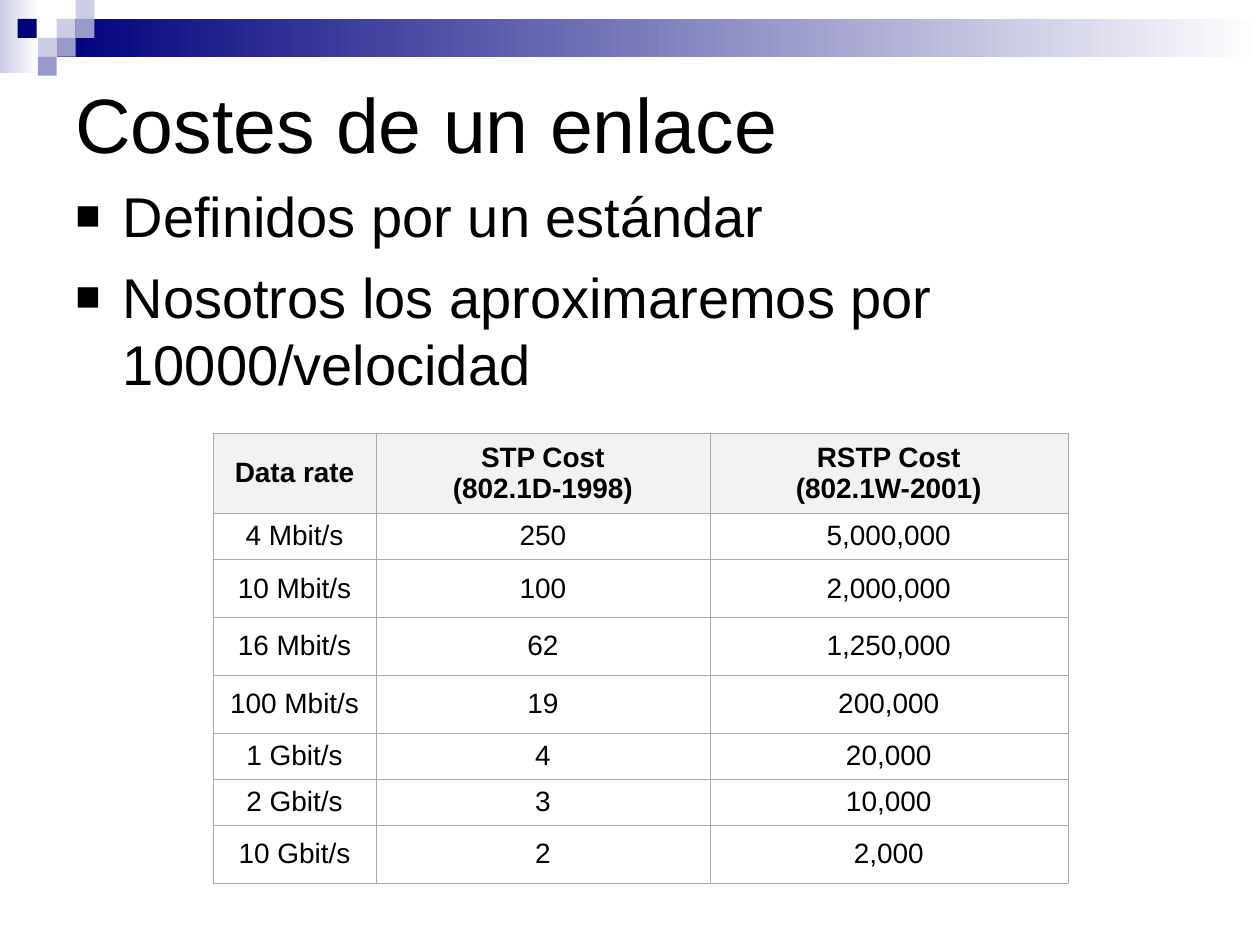
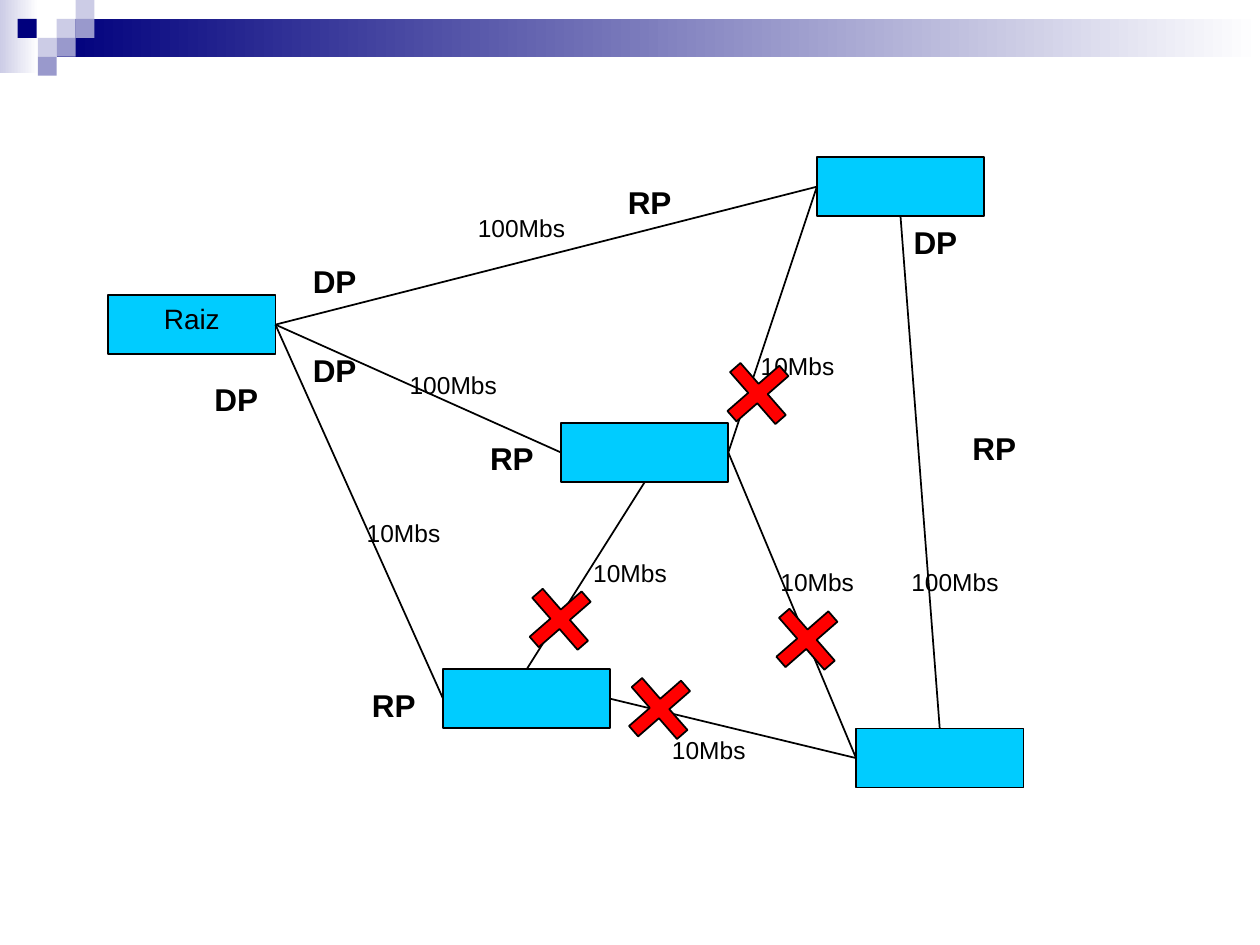
"""Builds two slides on spanning tree: link costs and a network with its port roles."""
from lxml import etree
from pptx import Presentation
from pptx import util as u
from pptx.dml.color import RGBColor
from pptx.enum import shapes, text
from pptx.oxml import parse_xml
from pptx.oxml.ns import nsdecls, qn

COLOURS = {"ink": "000000", "paper": "FFFFFF", "navy": "00007D", "lilac": "9999CC",
           "mist": "CCCCE6", "header": "F2F2F2", "grid": "AAAAAA",
           "switch": "00CCFF", "blocked": "FF0000"}
RGB = {name: RGBColor.from_string(code) for name, code in COLOURS.items()}

CENTRED = {"alignment": text.PP_ALIGN.CENTER}
WRAPPED = {"word_wrap": True}
GROWING = {"word_wrap": True, "auto_size": text.MSO_AUTO_SIZE.SHAPE_TO_FIT_TEXT}
STYLES = {
    "title": {"frame": {"word_wrap": True, "vertical_anchor": text.MSO_ANCHOR.MIDDLE},
              "paragraph": {}, "font": {"size": u.Pt(44)}},
    "body": {"frame": WRAPPED, "paragraph": {"space_before": u.Pt(8)},
             "font": {"size": u.Pt(32)}},
    "heading": {"frame": {}, "paragraph": CENTRED, "font": {"size": u.Pt(16), "bold": True}},
    "cell": {"frame": {}, "paragraph": CENTRED, "font": {"size": u.Pt(16), "bold": False}},
    "switch": {"frame": {"word_wrap": True, "vertical_anchor": text.MSO_ANCHOR.TOP},
               "paragraph": CENTRED, "font": {"size": u.Pt(16)}},
    "speed": {"frame": GROWING, "paragraph": CENTRED, "font": {"size": u.Pt(14)}},
    "port": {"frame": GROWING, "paragraph": CENTRED, "font": {"size": u.Pt(18), "bold": True}},
}


def write(frame, lines, style):
    frame.text = "\n".join(lines)
    for name, value in STYLES[style]["frame"].items():
        setattr(frame, name, value)
    for paragraph in frame.paragraphs:
        for name, value in STYLES[style]["paragraph"].items():
            setattr(paragraph, name, value)
        for run in paragraph.runs:
            run.font.name = "Arial"
            run.font.color.rgb = RGB["ink"]
            for name, value in STYLES[style]["font"].items():
                setattr(run.font, name, value)


def draw(slide, preset, box, fill, outlined=False):
    shape = slide.shapes.add_shape(preset, *map(u.Pt, box))
    shape.shadow.inherit = False
    if isinstance(fill, tuple):
        shape.fill.gradient()
        shape.fill.gradient_angle = 0
        for stop, colour in zip(shape.fill.gradient_stops, fill):
            stop.color.rgb = RGB[colour]
    else:
        shape.fill.solid()
        shape.fill.fore_color.rgb = RGB[fill]
    if outlined:
        shape.line.color.rgb = RGB["ink"]
        shape.line.width = u.Pt(1)
    else:
        shape.line.fill.background()
    return shape


RECTANGLE = shapes.MSO_SHAPE.RECTANGLE
TILE = 10.8
TILE_LEFTS = (10.1, 21.6, 32.4, 43.2)
TILES = [(2, 1, "mist"), (3, 0, "mist"), (3, 1, "lilac"), (1, 2, "mist"),
         (0, 1, "navy"), (2, 2, "lilac"), (1, 3, "lilac")]

deck = Presentation()
deck.slide_width, deck.slide_height = u.Pt(720), u.Pt(540)
costs, network = [deck.slides.add_slide(deck.slide_layouts[6]) for _ in range(2)]
for slide in (costs, network):
    slide.background.fill.solid()
    slide.background.fill.fore_color.rgb = RGB["paper"]
    draw(slide, RECTANGLE, (0, 0, 22, 42), ("mist", "paper"))
    draw(slide, RECTANGLE, (32.4, 10.8, 687.6, 21.6), ("navy", "paper"))
    for column, row, colour in TILES:
        draw(slide, RECTANGLE, (TILE_LEFTS[column], row * TILE, TILE, TILE), colour)

title = costs.shapes.add_textbox(*map(u.Pt, (36, 34, 648, 72)))
write(title.text_frame, ["Costes de un enlace"], "title")

points = costs.shapes.add_textbox(*map(u.Pt, (36, 100, 648, 389.5)))
write(points.text_frame, ["Definidos por un estándar",
                          "Nosotros los aproximaremos por 10000/velocidad"], "body")
for point in points.text_frame.paragraphs:
    properties = point._p.get_or_add_pPr()
    properties.set("marL", str(u.Pt(27)))
    properties.set("indent", str(u.Pt(-27)))
    bullet_colour = etree.SubElement(properties, qn("a:buClr"))
    etree.SubElement(bullet_colour, qn("a:srgbClr"), val=COLOURS["ink"])
    etree.SubElement(properties, qn("a:buSzPct"), val="75000")
    etree.SubElement(properties, qn("a:buFont"), typeface="Arial")
    etree.SubElement(properties, qn("a:buChar"), char="■")

COST_ROWS = [
    ("Data rate", "STP Cost (802.1D-1998)", "RSTP Cost (802.1W-2001)"),
    ("4 Mbit/s", "250", "5,000,000"),
    ("10 Mbit/s", "100", "2,000,000"),
    ("16 Mbit/s", "62", "1,250,000"),
    ("100 Mbit/s", "19", "200,000"),
    ("1 Gbit/s", "4", "20,000"),
    ("2 Gbit/s", "3", "10,000"),
    ("10 Gbit/s", "2", "2,000"),
]
COST_WIDTHS = (92.9, 190.8, 204.5)
COST_HEIGHTS = (45.5, 26.5, 33, 33, 33, 26.5, 26.5, 33)
cost_table = costs.shapes.add_table(
    len(COST_ROWS), len(COST_WIDTHS),
    *map(u.Pt, (121.9, 247.6, sum(COST_WIDTHS), sum(COST_HEIGHTS)))).table
for column, width in zip(cost_table.columns, COST_WIDTHS):
    column.width = u.Pt(width)
for index, (row, height, values) in enumerate(zip(cost_table.rows, COST_HEIGHTS, COST_ROWS)):
    row.height = u.Pt(height)
    for cell, value in zip(row.cells, values):
        write(cell.text_frame, [value], "cell" if index else "heading")
        cell.vertical_anchor = text.MSO_ANCHOR.MIDDLE
        for place, side in enumerate(("lnL", "lnR", "lnT", "lnB")):
            cell._tc.get_or_add_tcPr().insert(place, parse_xml(
                f'<a:{side} {nsdecls("a")} w="{u.Pt(0.06)}"><a:solidFill>'
                f'<a:srgbClr val="{COLOURS["grid"]}"/></a:solidFill></a:{side}>'))
        cell.fill.solid()
        cell.fill.fore_color.rgb = RGB["paper" if index else "header"]

SWITCHES = {"centre": (320.6, 241.7), "north": (466.8, 89.8), "root": (61.8, 168.6),
            "south east": (489.2, 416.3), "south west": (253.2, 382.4)}
switches = {name: draw(network, RECTANGLE, (*corner, 95.6, 33.8), "switch", True)
            for name, corner in SWITCHES.items()}
write(switches["root"].text_frame, ["Raiz"], "switch")

TOP, LEFT, BOTTOM, RIGHT = range(4)
LINKS = [("north", LEFT, "root", RIGHT), ("north", BOTTOM, "south east", TOP),
         ("centre", LEFT, "root", RIGHT), ("south west", TOP, "centre", BOTTOM),
         ("south west", LEFT, "root", RIGHT), ("south west", RIGHT, "south east", LEFT),
         ("south east", LEFT, "centre", RIGHT), ("north", LEFT, "centre", RIGHT)]
for start, start_side, end, end_side in LINKS:
    link = network.shapes.add_connector(shapes.MSO_CONNECTOR.STRAIGHT, 0, 0, 0, 0)
    link.begin_connect(switches[start], start_side)
    link.end_connect(switches[end], end_side)
    link.line.color.rgb = RGB["ink"]
    link.line.width = u.Pt(1)
    etree.SubElement(link._element.spPr, qn("a:effectLst"))

LABELS = [
    ("100Mbs", "speed", (67.7, 24.5), [(264.2, 118.1), (225.2, 208.1), (511.9, 320.6)]),
    ("10Mbs", "speed", (67.7, 24.5), [(421.9, 196.8), (196.8, 292.4), (326.2, 315.2),
                                      (433.2, 320.6), (371.2, 416.2)]),
    ("RP", "port", (90, 28.8), [(180, 388.2), (247.5, 247.5), (326.2, 101.3), (523.2, 241.9)]),
    ("DP", "port", (90, 28.8), [(90, 213.8), (146.2, 146.2), (146.2, 196.8), (489.5, 123.8)]),
]
for label, style, size, corners in LABELS:
    for corner in corners:
        box = network.shapes.add_textbox(*map(u.Pt, (*corner, *size)))
        write(box.text_frame, [label], style)

for corner in [(300.4, 334.2), (357.2, 385.2), (441.4, 345.6), (413.4, 205.2)]:
    blocked_mark = draw(network, shapes.MSO_SHAPE.CROSS, (*corner, 39.4, 39.4), "blocked", True)
    blocked_mark.adjustments[0] = 0.4
    blocked_mark.rotation = 48.9

deck.save("out.pptx")
